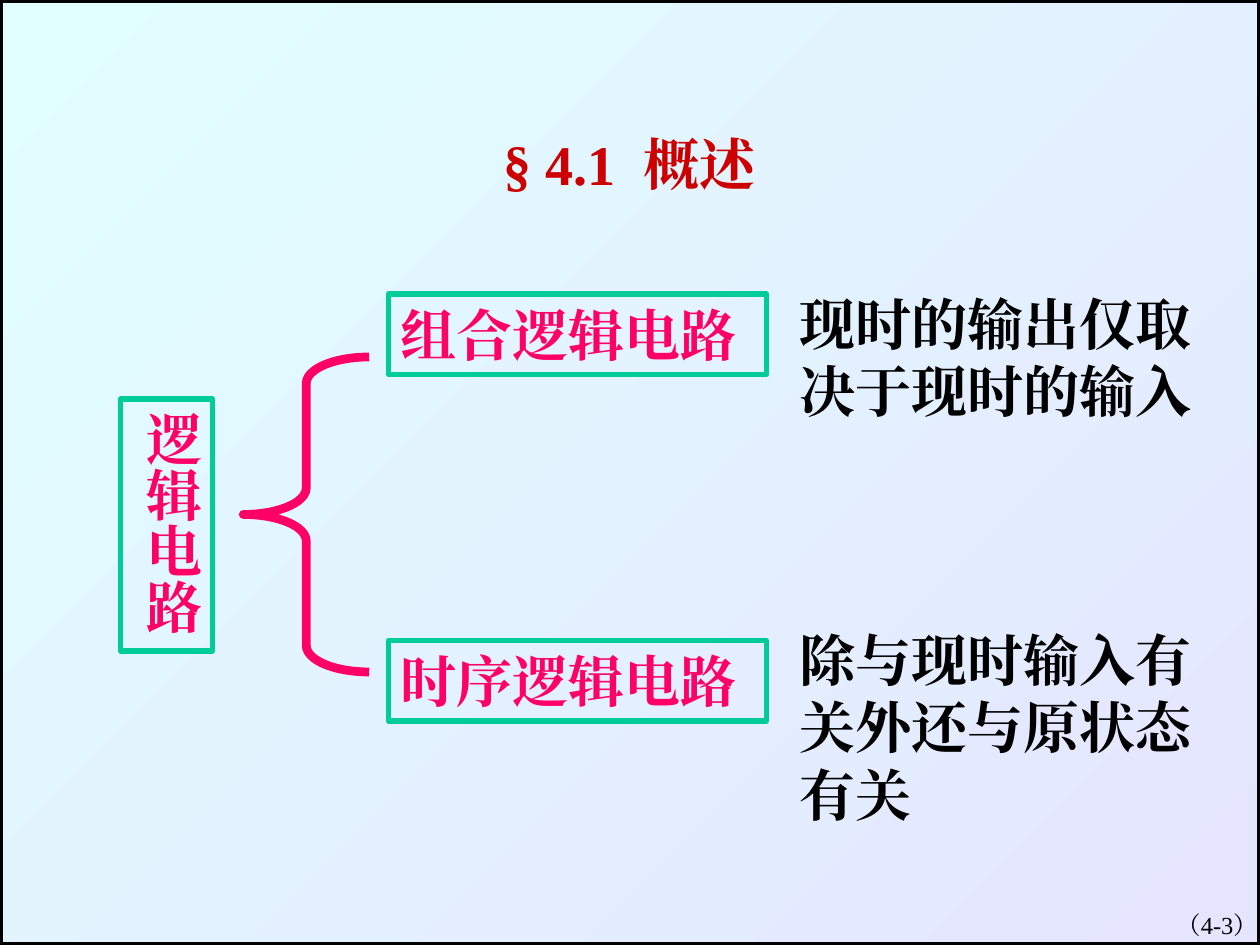
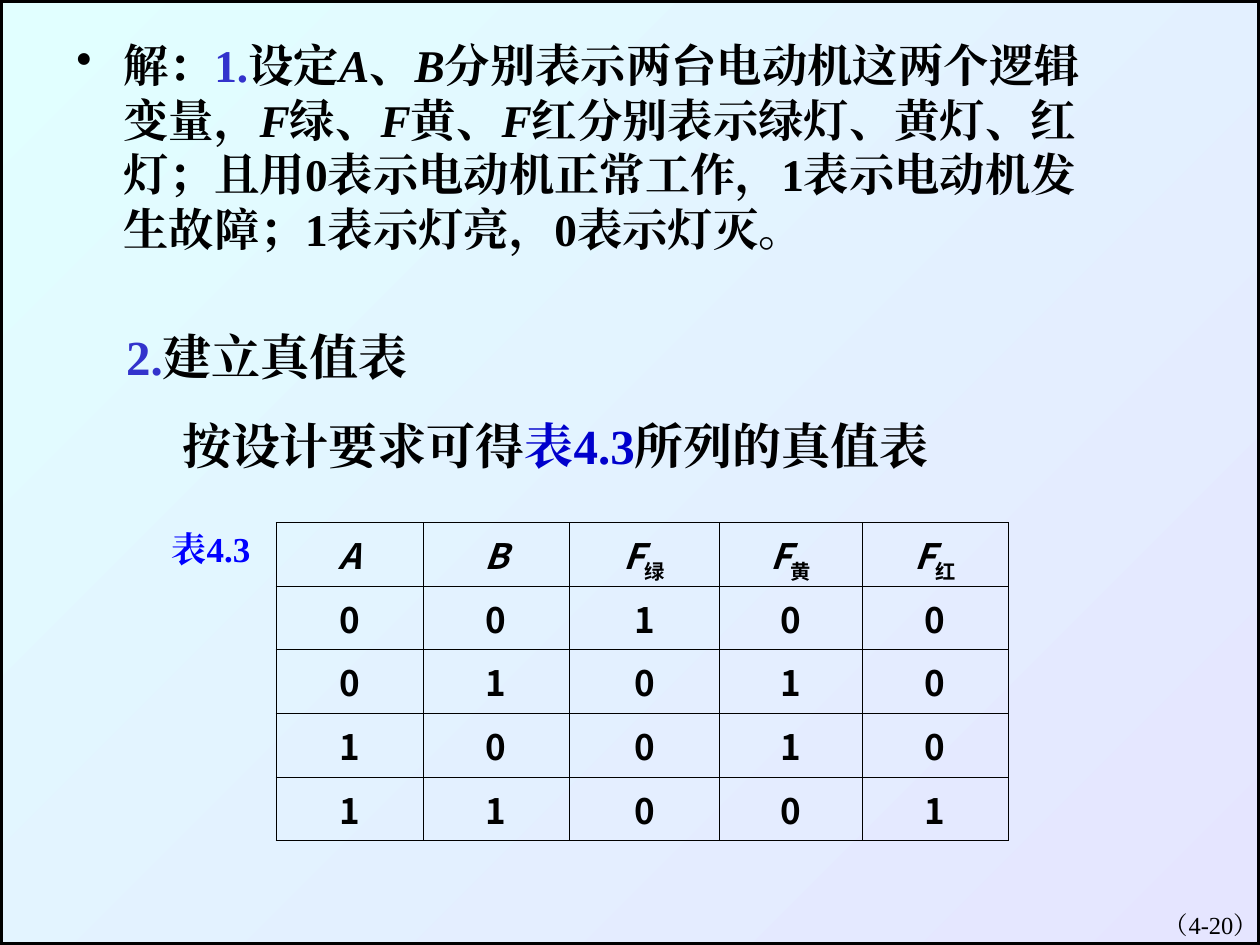
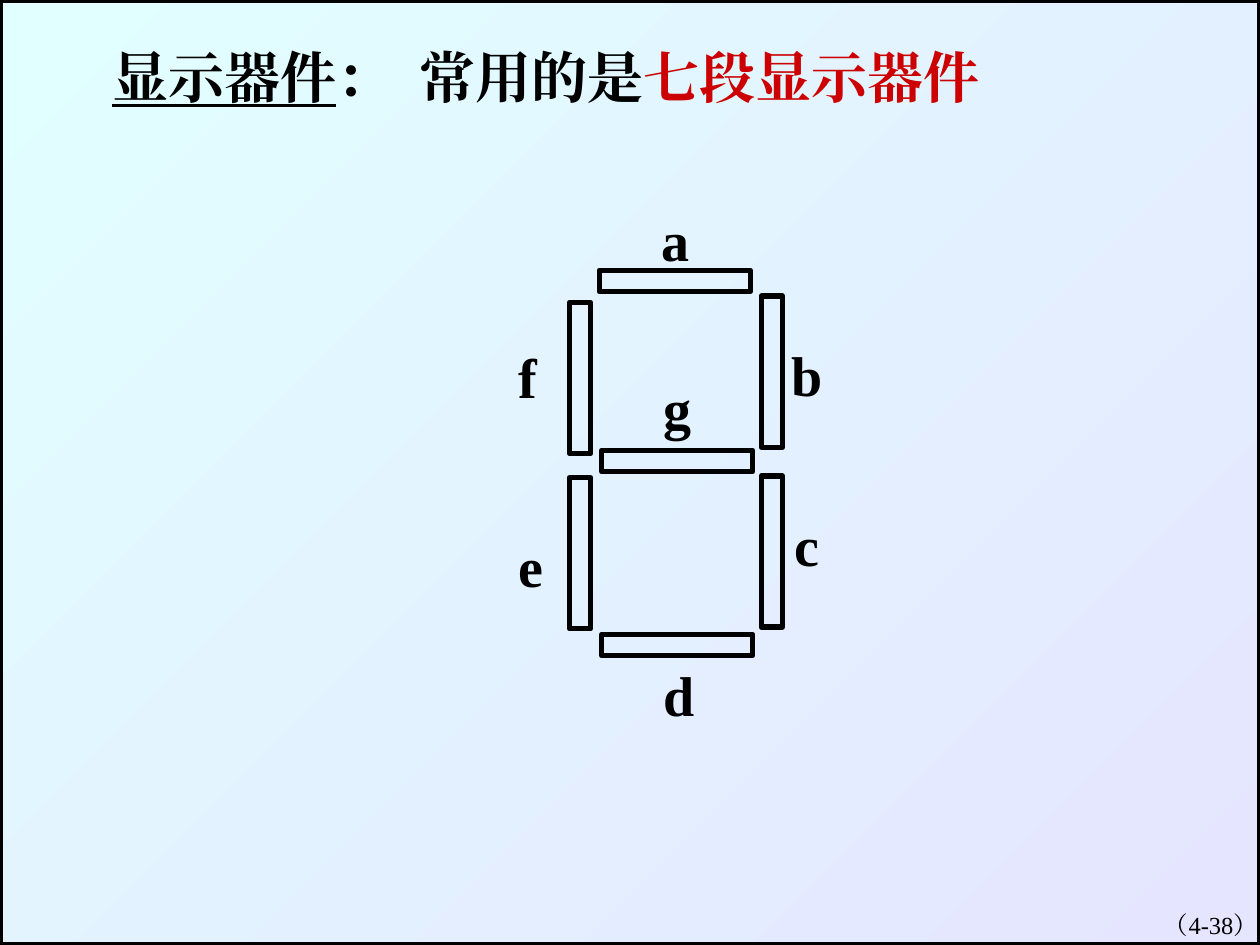
from lxml import etree
from pptx import Presentation
from pptx.dml.color import RGBColor
from pptx.enum.shapes import MSO_SHAPE
from pptx.enum.text import MSO_ANCHOR, PP_ALIGN
from pptx.oxml.ns import qn
from pptx.util import Pt

RECTANGLE, LEFT_BRACE = MSO_SHAPE.RECTANGLE, MSO_SHAPE.LEFT_BRACE
TOP, MIDDLE = MSO_ANCHOR.TOP, MSO_ANCHOR.MIDDLE
LEFT, CENTER, RIGHT = PP_ALIGN.LEFT, PP_ALIGN.CENTER, PP_ALIGN.RIGHT

WIDTH, HEIGHT = 720, 540
SERIF, SANS = "Times New Roman", "Noto Sans CJK SC"
COLORS = {
    "black": "000000", "red": "CC0000", "pink": "FF0066", "green": "00CC99",
    "number": "3333CC", "caption": "0000FF", "reference": "0000CC",
    "sky": "E1FFFF", "lilac": "E5E5FF",
}
HEADING = {"size": Pt(32), "bold": True}
ITALIC = {"italic": True}
NUMBER = {"color": "number"}


def color(name):
    return RGBColor.from_string(COLORS[name])


class Deck:
    """Shared style, plus one method for each kind of element."""

    def __init__(self):
        self.presentation = Presentation()
        self.presentation.slide_width = Pt(WIDTH)
        self.presentation.slide_height = Pt(HEIGHT)
        self.slide = None

    def new_slide(self, number):
        self.slide = self.presentation.slides.add_slide(self.presentation.slide_layouts[6])
        backdrop = self.shape(RECTANGLE, (0, 0, WIDTH, HEIGHT), "black")
        backdrop.fill.gradient()
        backdrop.fill.gradient_angle = 315
        for stop, name in zip(backdrop.fill.gradient_stops, ("sky", "lilac")):
            stop.color.rgb = color(name)
        self.text((576, 516.25, 150, 36), [f"（{number}）"], {"size": Pt(14)}, align=RIGHT)

    def shape(self, kind, box, line, weight=3):
        shape = self.slide.shapes.add_shape(kind, *map(Pt, box))
        shape.shadow.inherit = False
        shape.fill.background()
        shape.line.color.rgb = color(line)
        shape.line.width = Pt(weight)
        return shape

    def add_runs(self, paragraph, runs, style, align=LEFT):
        """Each run is a plain string or a (string, changed format) pair."""
        paragraph.alignment = align
        for item in runs:
            words, changes = (item, {}) if isinstance(item, str) else item
            values = {"name": SERIF, "color": "black", **style, **changes}
            run = paragraph.add_run()
            run.text = words
            run.font.color.rgb = color(values.pop("color"))
            baseline = values.pop("baseline", None)
            for name, value in values.items():
                setattr(run.font, name, value)
            properties = run.font._element
            etree.SubElement(properties, qn("a:ea")).set("typeface", values["name"])
            if baseline:
                properties.set("baseline", str(baseline))

    def fill_frame(self, shape, runs, style, align=LEFT, anchor=TOP, wrap=True):
        frame = shape.text_frame
        frame.word_wrap = wrap
        frame.vertical_anchor = anchor
        self.add_runs(frame.paragraphs[0], runs, style, align)
        return frame

    def text(self, box, runs, style, **layout):
        shape = self.slide.shapes.add_textbox(*map(Pt, box))
        return self.fill_frame(shape, runs, style, **layout)

    def boxed_text(self, box, words):
        shape = self.shape(RECTANGLE, box, "green")
        return self.fill_frame(shape, [words], {**HEADING, "color": "pink"})

    def indent(self, paragraph, left, first, bullet=None):
        properties = paragraph._p.get_or_add_pPr()
        properties.set("marL", str(Pt(left)))
        properties.set("indent", str(Pt(first)))
        if bullet:
            etree.SubElement(properties, qn("a:buChar")).set("char", bullet)

    def border(self, cell):
        properties = cell._tc.get_or_add_tcPr()
        for position, side in enumerate(("lnL", "lnR", "lnT", "lnB")):
            line = etree.Element(qn(f"a:{side}"), w=str(Pt(0.45)))
            fill = etree.SubElement(line, qn("a:solidFill"))
            etree.SubElement(fill, qn("a:srgbClr")).set("val", COLORS["black"])
            properties.insert(position, line)

    def table(self, left, top, widths, row_height, rows, style):
        table = self.slide.shapes.add_table(
            len(rows), len(widths), Pt(left), Pt(top),
            Pt(sum(widths)), Pt(row_height * len(rows))).table
        table.first_row = table.horz_banding = False
        for column, width in zip(table.columns, widths):
            column.width = Pt(width)
        for row, contents in zip(table.rows, rows):
            row.height = Pt(row_height)
            for cell, runs in zip(row.cells, contents):
                cell.fill.background()
                self.border(cell)
                self.add_runs(cell.text_frame.paragraphs[0], runs, style, CENTER)


def overview(deck):
    deck.new_slide("4-3")
    # Tree of circuit types
    root = deck.boxed_text((69, 228, 52.5, 144), "逻辑电路")
    root._txBody.bodyPr.set("vert", "eaVert")
    margins = {"margin_left": 3.6, "margin_right": 3.6, "margin_top": 7.2, "margin_bottom": 7.2}
    for name, value in margins.items():
        setattr(root, name, Pt(value))
    brace = deck.shape(LEFT_BRACE, (139, 204, 72, 180), "pink", 5)
    brace.adjustments[0] = 0.21
    # Branches with their explanations
    branches = [
        (168, "组合逻辑电路", 162, 84, "现时的输出仅取决于现时的输入"),
        (366, "时序逻辑电路", 354, 122, "除与现时输入有关外还与原状态有关"),
    ]
    for box_top, name, note_top, note_height, note in branches:
        deck.boxed_text((222, box_top, 216, 46), name)
        deck.text((450, note_top, 246, note_height), [note], HEADING)
    # Title
    deck.text((54, 48, 612, 90), ["§ 4.1  概述"], {**HEADING, "color": "red"},
              align=CENTER, anchor=MIDDLE)


def truth_table(deck):
    deck.new_slide("4-20")
    # Step 1: variables
    f = ("F", ITALIC)
    body = deck.text((36.5, 18, 605, 186), [
        "解：", ("1.", NUMBER), "设定", ("A", ITALIC), "、", ("B", ITALIC),
        "分别表示两台电动机这两个逻辑变量，", f, "绿、", f, "黄、", f,
        "红分别表示绿灯、黄灯、红灯；且用0表示电动机正常工作，"
        "1表示电动机发生故障；1表示灯亮，0表示灯灭。",
    ], {"size": Pt(25.9), "bold": True})
    deck.indent(body.paragraphs[0], 27, -27, "•")
    # Truth table
    lamps = [[f, (lamp, {"italic": False, "baseline": -30000})] for lamp in "绿黄红"]
    header = [[("A", ITALIC)], [("B", ITALIC)], *lamps]
    rows = [[[digit] for digit in digits] for digits in ("00100", "01010", "10010", "11001")]
    deck.table(157.75, 298.5, (84, 83.5, 86, 81.5, 83.5), 36.4, [header, *rows],
               {"name": SANS, "size": Pt(20), "bold": True})
    deck.text((91, 298, 64, 32), ["表4.3"],
              {"size": Pt(20), "bold": True, "color": "caption"}, wrap=False)
    # Step 2: table
    style = {"size": Pt(28), "bold": True}
    step = deck.text((65, 183, 533, 92), [("2.", NUMBER), "建立真值表"], style)
    result = step.add_paragraph()
    result.space_before = Pt(17.5)
    deck.indent(result, 0, 32)
    deck.add_runs(result, ["按设计要求可得", ("表4.3", {"color": "reference"}), "所列的真值表"], style)


def seven_segments(deck):
    deck.new_slide("4-38")
    # Heading
    deck.text((57, 21, 187, 46), [("显示器件", {"underline": True}), "："], HEADING)
    deck.text((232.5, 21, 346, 46), ["常用的是", ("七段显示器件", {"color": "red"})], HEADING)
    # Segments: bar position, then label position
    length, thickness = 86.4, 12.2
    upright, flat = (thickness, length), (length, thickness)
    segments = {
        "a": (342.4, 154.4, flat, 371, 114),
        "b": (435, 169.2, upright, 445.5, 191),
        "c": (435, 272, upright, 447, 288),
        "d": (343.8, 362.5, flat, 372, 374),
        "e": (325.4, 273, upright, 289.5, 300),
        "f": (325.4, 172.8, upright, 289.5, 192),
        "g": (343.8, 257.4, flat, 372, 210),
    }
    for name, (left, top, size, label_left, label_top) in segments.items():
        deck.shape(RECTANGLE, (left, top, *size), "black")
        deck.text((label_left, label_top, 36, 46), [name], HEADING)


def main():
    deck = Deck()
    for build in (overview, truth_table, seven_segments):
        build(deck)
    deck.presentation.save("out.pptx")


if __name__ == "__main__":
    main()
